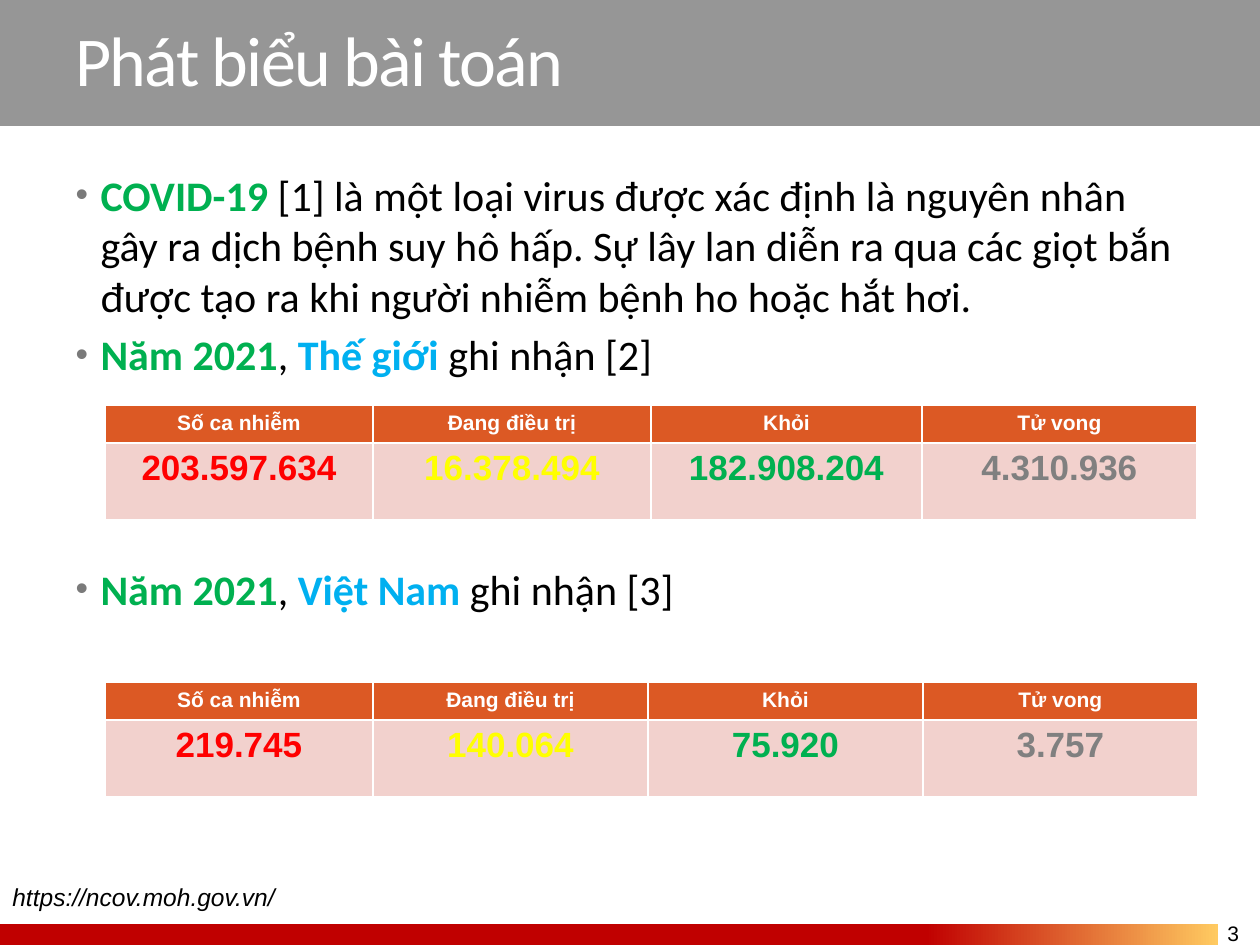
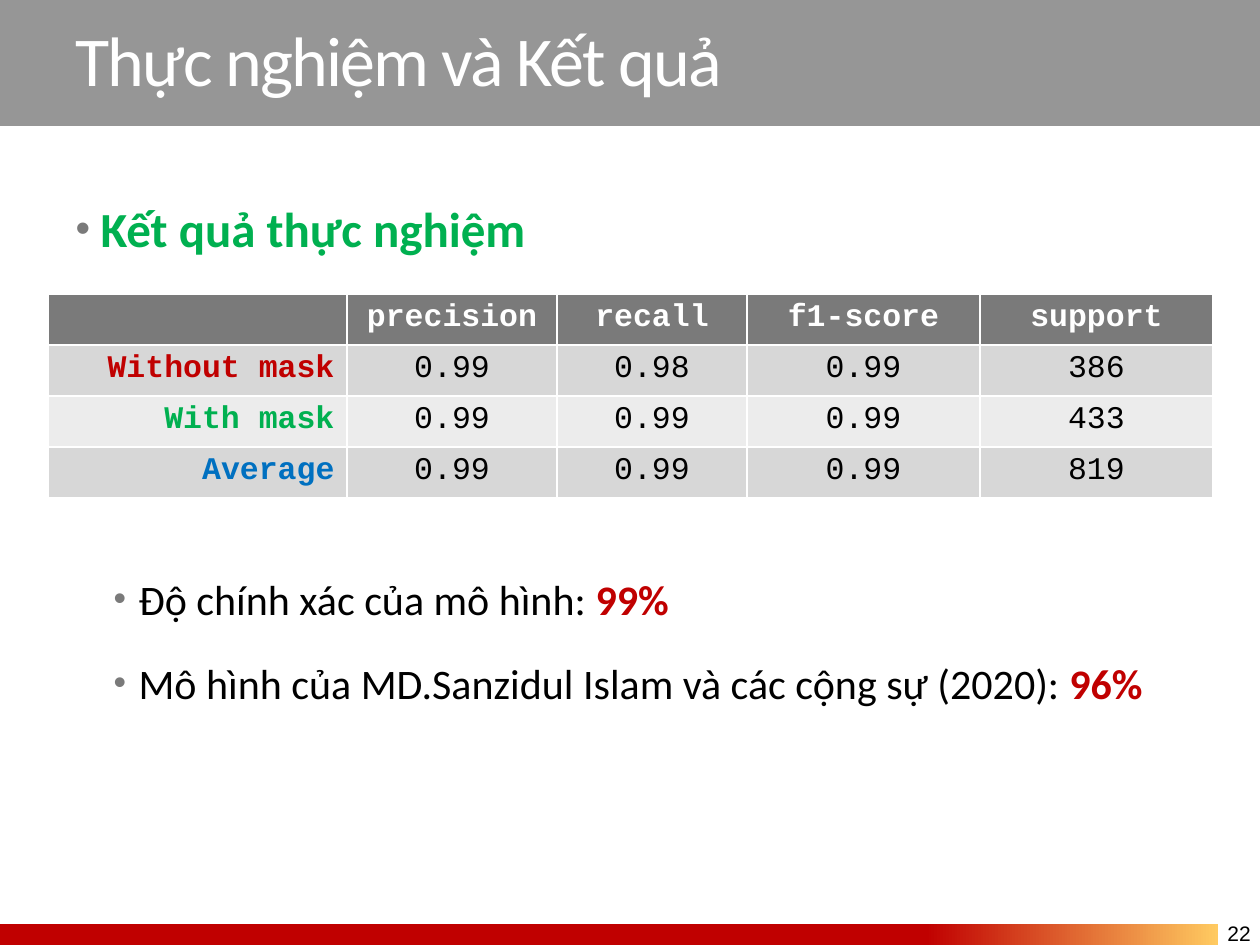
import lxml.etree
import pptx
import pptx.dml.color
import pptx.enum.shapes
import pptx.enum.text
import pptx.oxml.ns
import pptx.util

RGB = pptx.dml.color.RGBColor
BLACK = RGB(0x00, 0x00, 0x00)
WHITE = RGB(0xFF, 0xFF, 0xFF)
BAND = RGB(0x96, 0x96, 0x96)
DARK_GRAY = RGB(0x7A, 0x7A, 0x7A)
GRAY = RGB(0x80, 0x80, 0x80)
ROW_DARK = RGB(0xD7, 0xD7, 0xD7)
ROW_LIGHT = RGB(0xEC, 0xEC, 0xEC)
ORANGE = RGB(0xDC, 0x59, 0x24)
PINK = RGB(0xF2, 0xD1, 0xCD)
DARK_RED = RGB(0xC0, 0x00, 0x00)
GOLD = RGB(0xFF, 0xCA, 0x61)
RED = RGB(0xFF, 0x00, 0x00)
YELLOW = RGB(0xFF, 0xFF, 0x00)
GREEN = RGB(0x00, 0xB0, 0x50)
SKY = RGB(0x00, 0xB0, 0xF0)
BLUE = RGB(0x00, 0x70, 0xC0)

PX_PER_INCH = 126
ALIGN = pptx.enum.text.PP_ALIGN
CASE_HEADS = ["Số ca nhiễm", "Đang điều trị", "Khỏi", "Tử vong"]
CASE_COLORS = [RED, YELLOW, GREEN, GRAY]


def px(n):
    return pptx.util.Emu(round(n * 914400 / PX_PER_INCH))


def box(*lengths):
    return [px(n) for n in lengths]


def place(sp, *lengths):
    sp.left, sp.top, sp.width, sp.height = box(*lengths)


def set_font(font, name, size, color, bold=False, italic=False):
    font.name, font.size = name, pptx.util.Pt(size)
    font.bold, font.italic = bold, italic
    font.color.rgb = color


def add_bar(slide, *lengths):
    sp = slide.shapes.add_shape(
        pptx.enum.shapes.MSO_SHAPE.RECTANGLE, *box(*lengths))
    sp.shadow.inherit = False
    sp.line.fill.background()
    return sp


def add_layout_bars(slide):
    """Draw the title band and footer bar, then move them to the layout."""
    band = add_bar(slide, 0, 0, 1260, 126)
    band.fill.solid()
    band.fill.fore_color.rgb = BAND

    footer = add_bar(slide, 0, 924, 1218, 21)
    footer.fill.gradient()
    footer.fill.gradient_angle = 0
    stops = footer.fill.gradient_stops
    for stop, position, color in zip(stops, (0.76, 1), (DARK_RED, GOLD)):
        stop.position, stop.color.rgb = position, color

    tree = slide.slide_layout.shapes.element
    for sp in (footer, band):
        tree.insert(2, sp.element)


def add_label(slide, text, lengths, size, italic=False):
    tf = slide.shapes.add_textbox(*box(*lengths)).text_frame
    tf.word_wrap = True
    tf.text = text
    set_font(tf.paragraphs[0].font, "Arial", size, BLACK, italic=italic)


def set_title(slide, text):
    sp = slide.shapes.title
    place(sp, 63, 0, 1134, 117)
    tf = sp.text_frame
    tf.auto_size = pptx.enum.text.MSO_AUTO_SIZE.NONE
    tf.vertical_anchor = pptx.enum.text.MSO_ANCHOR.MIDDLE
    p = tf.paragraphs[0]
    p.alignment = ALIGN.LEFT
    r = p.add_run()
    r.text = text
    set_font(r.font, "Calibri", 40, WHITE)
    r._r.get_or_add_rPr().set("spc", "-100")


def set_bullet(p, indent):
    pPr = p._p.get_or_add_pPr()
    pPr.set("marL", str(px(indent)))
    pPr.set("indent", str(-px(25)))

    def add(parent, tag, **attrs):
        return lxml.etree.SubElement(parent, pptx.oxml.ns.qn(tag), attrs)

    add(add(pPr, "a:buClr"), "a:srgbClr", val=str(DARK_GRAY))
    add(pPr, "a:buSzPct", val="85000")
    add(pPr, "a:buFont", typeface="Arial")
    add(pPr, "a:buChar", char="•")


def add_bullet(p, runs, size=24, level=0, before=None, spacing=None):
    """Fill a list paragraph; runs are (text, color), bold unless black."""
    set_bullet(p, 63 if level else 25)
    p.level = level
    if before:
        p.space_before = pptx.util.Pt(before)
    if spacing:
        p.line_spacing = spacing
    for text, color in runs:
        r = p.add_run()
        r.text = text
        set_font(r.font, "Calibri", size, color, bold=color != BLACK)


def set_body(slide, bullets):
    sp = slide.placeholders[1]
    place(sp, 63, 163, 1134, 735)
    tf = sp.text_frame
    tf.auto_size = pptx.enum.text.MSO_AUTO_SIZE.NONE
    for i, bullet in enumerate(bullets):
        p = tf.add_paragraph() if i else tf.paragraphs[0]
        add_bullet(p, **bullet)


def add_table(slide, left, top, widths, heights):
    table = slide.shapes.add_table(
        len(heights), len(widths),
        *box(left, top, sum(widths), sum(heights))).table
    for column, width in zip(table.columns, widths):
        column.width = px(width)
    for row, height in zip(table.rows, heights):
        row.height = px(height)
    return table


def set_cell(cell, text, fill, name, size, color, bold=True,
             align=ALIGN.CENTER):
    cell.fill.solid()
    cell.fill.fore_color.rgb = fill
    if text:
        cell.text = text
        p = cell.text_frame.paragraphs[0]
        p.alignment = align
        set_font(p.font, name, size, color, bold)


def add_case_table(slide, top, widths, counts):
    table = add_table(slide, 105, top, widths, [36, 77])
    for c, (head, count, color) in enumerate(
            zip(CASE_HEADS, counts, CASE_COLORS)):
        set_cell(table.cell(0, c), head, ORANGE, "Arial", 12, WHITE)
        set_cell(table.cell(1, c), count, PINK, "Arial", 20, color)


def add_score_table(slide, heads, rows):
    """Each row is (label, label color, scores)."""
    table = add_table(slide, 48, 294, [299, 210, 190, 233, 233],
                      [51] * (len(rows) + 1))
    font = ("Courier New", 18)
    for c, head in enumerate(heads):
        set_cell(table.cell(0, c), head, DARK_GRAY, *font, WHITE)
    for i, (label, color, scores) in enumerate(rows, 1):
        fill = ROW_DARK if i % 2 else ROW_LIGHT
        set_cell(table.cell(i, 0), label, fill, *font, color,
                 align=ALIGN.RIGHT)
        for c, score in enumerate(scores, 1):
            set_cell(table.cell(i, c), score, fill, *font, BLACK, bold=False)


def add_slide(prs, title, number, bullets):
    slide = prs.slides.add_slide(prs.slide_layouts[1])
    set_title(slide, title)
    set_body(slide, bullets)
    add_label(slide, number, (1215, 914, 52, 38), 12)
    return slide


def add_problem_slide(prs):
    slide = add_slide(prs, "Phát biểu bài toán", "3", [
        dict(runs=[
            ("COVID-19 ", GREEN),
            ("[1] là một loại virus được xác định là nguyên nhân gây ra dịch "
             "bệnh suy hô hấp. Sự lây lan diễn ra qua các giọt bắn được tạo "
             "ra khi người nhiễm bệnh ho hoặc hắt hơi.", BLACK)]),
        dict(runs=[("Năm 2021", GREEN), (", ", BLACK),
                   ("Thế giới ", SKY), ("ghi nhận [2]", BLACK)]),
        dict(runs=[("Năm 2021", GREEN), (", ", BLACK),
                   ("Việt Nam ", SKY), ("ghi nhận [3]", BLACK)], before=105),
    ])
    add_label(slide, "https://ncov.moh.gov.vn/", (0, 876, 630, 43), 14,
              italic=True)
    add_case_table(slide, 405, [268, 278, 271, 275],
                   ["203.597.634", "16.378.494", "182.908.204", "4.310.936"])
    add_case_table(slide, 682, [268, 275, 275, 275],
                   ["219.745", "140.064", "75.920", "3.757"])
    return slide


def add_result_slide(prs):
    slide = add_slide(prs, "Thực nghiệm và Kết quả", "22", [
        dict(runs=[("Kết quả thực nghiệm", GREEN)], size=28, spacing=1.5),
        dict(runs=[("Độ chính xác của mô hình: ", BLACK), ("99%", DARK_RED)],
             level=1, before=166, spacing=1.5),
        dict(runs=[("Mô hình của MD.Sanzidul Islam và các cộng sự (2020): ",
                    BLACK), ("96%", DARK_RED)], level=1, spacing=1.5),
    ])
    add_score_table(slide, ["", "precision", "recall", "f1-score", "support"], [
        ("Without mask", DARK_RED, ["0.99", "0.98", "0.99", "386"]),
        ("With mask", GREEN, ["0.99", "0.99", "0.99", "433"]),
        ("Average", BLUE, ["0.99", "0.99", "0.99", "819"]),
    ])


def main():
    prs = pptx.Presentation()
    prs.slide_width, prs.slide_height = box(1260, 945)
    add_layout_bars(add_problem_slide(prs))
    add_result_slide(prs)
    prs.save("out.pptx")


if __name__ == "__main__":
    main()
